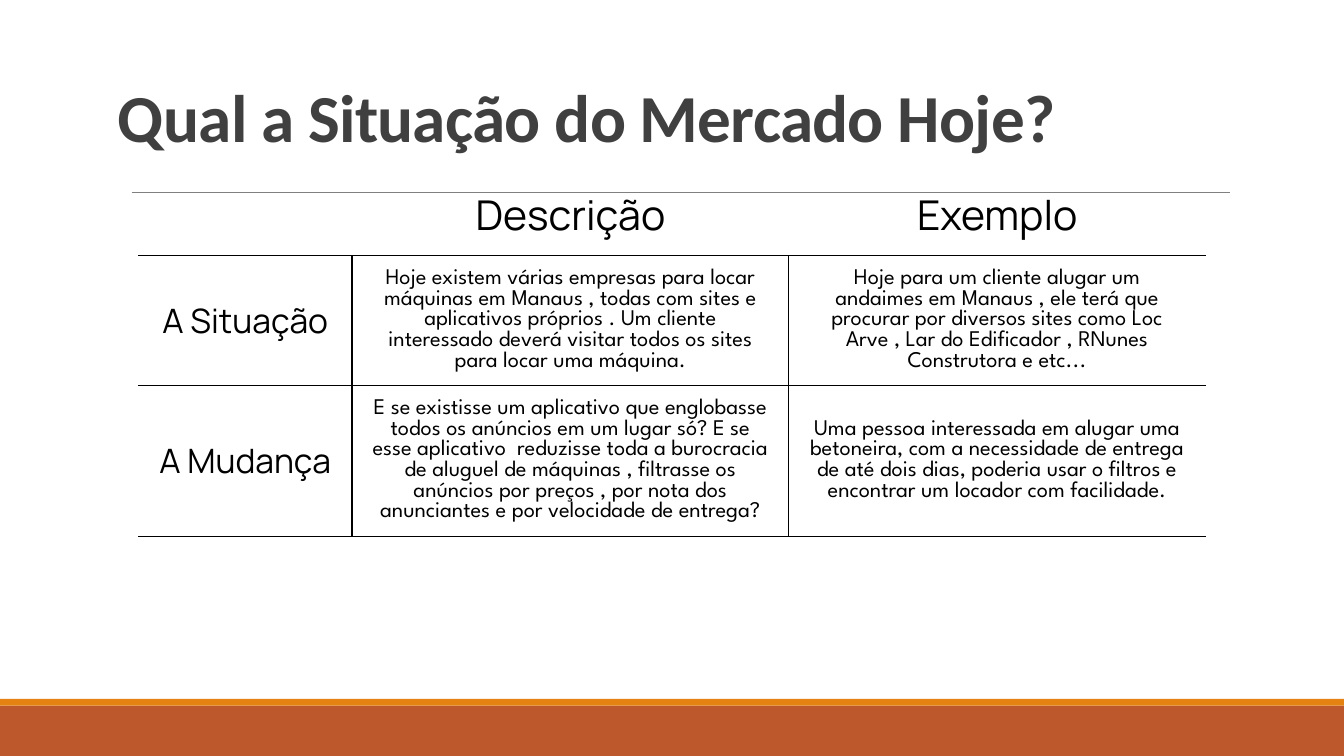
from lxml import etree
from pptx import Presentation, util as u
from pptx.dml.color import RGBColor
from pptx.enum import shapes, text
from pptx.oxml.ns import qn


def color(value):
    return RGBColor.from_string(value)


def add_border(cell, side):
    """side is L, R, T or B; call in that order, before the cell fill is set."""
    line = etree.SubElement(cell._tc.get_or_add_tcPr(), qn(f"a:ln{side}"), w=str(u.Pt(0.75)))
    fill = etree.SubElement(line, qn("a:solidFill"))
    etree.SubElement(fill, qn("a:srgbClr"), val="000000")


deck = Presentation()
deck.slide_width, deck.slide_height = u.Inches(10), u.Inches(10) * 9 // 16
page = deck.slides.add_slide(deck.slide_layouts[6])

# Footer bands
for top, height, fill in [(5.25, 0.38, "BD582C"), (5.2, 0.05, "E48312")]:
    band = page.shapes.add_shape(shapes.MSO_SHAPE.RECTANGLE, u.Inches(0), u.Inches(top),
                                 u.Inches(10), u.Inches(height))
    band.shadow.inherit = False
    band.fill.solid()
    band.fill.fore_color.rgb = color(fill)
    band.line.fill.background()

# Rule under the title
rule = page.shapes.add_connector(shapes.MSO_CONNECTOR.STRAIGHT, u.Inches(0.98), u.Inches(1.43),
                                 u.Inches(9.15), u.Inches(1.43))
rule.line.color.rgb = color("808080")
rule.line.width = u.Pt(0.5)
etree.SubElement(rule._element.spPr, qn("a:effectLst"))

# Title
box = page.shapes.add_textbox(u.Inches(0.78), u.Inches(0.46), u.Inches(8.44), u.Inches(0.63))
frame = box.text_frame
frame.word_wrap = True
frame.margin_left = frame.margin_right = u.Inches(0.1)
frame.margin_top = frame.margin_bottom = u.Inches(0.1)
frame.text = "Qual a Situação do Mercado Hoje?"
span = frame.paragraphs[0].runs[0]
span.font.name, span.font.size, span.font.bold = "Calibri", u.Pt(36), True
span.font.color.rgb = color("404040")
span._r.get_or_add_rPr().set("spc", "-40")

# Table of situation and change
rows = [
    ["", "Descrição", "Exemplo"],
    ["A Situação",
     "Hoje existem várias empresas para locar máquinas em Manaus , todas com sites e "
     "aplicativos próprios . Um cliente interessado deverá visitar todos os sites para "
     "locar uma máquina.",
     "Hoje para um cliente alugar um andaimes em Manaus , ele terá que procurar por "
     "diversos sites como Loc Arve , Lar do Edificador , RNunes Construtora e etc..."],
    ["A Mudança",
     "E se existisse um aplicativo que englobasse todos os anúncios em um lugar só? E se "
     "esse aplicativo  reduzisse toda a burocracia de aluguel de máquinas , filtrasse os "
     "anúncios por preços , por nota dos anunciantes e por velocidade de entrega?",
     "Uma pessoa interessada em alugar uma betoneira, com a necessidade de entrega de até "
     "dois dias, poderia usar o filtros e encontrar um locador com facilidade."],
]
widths = [1.59, 3.25, 3.1]
heights = [0.61, 0.97, 1.12]
table = page.shapes.add_table(3, 3, u.Inches(1.03), u.Inches(1.29),
                              u.Inches(sum(widths)), u.Inches(sum(heights))).table
table.first_row = table.horz_banding = False
# The "No Style, No Grid" table style has no borders of its own
style = table._tbl.tblPr.find(qn("a:tableStyleId"))
style.text = "{2D5ABB26-0587-4C30-8999-92F81FD0307C}"
for column, width in zip(table.columns, widths):
    column.width = u.Inches(width)

for r, (row, height) in enumerate(zip(rows, heights)):
    table.rows[r].height = u.Inches(height)
    for c, words in enumerate(row):
        cell = table.cell(r, c)
        body = r > 0 and c > 0

        # Lines run under every row and between the columns below the header
        sides = "B" if r == 0 else ["RTB", "LRTB", "LTB"][c]
        for side in sides:
            add_border(cell, side)
        cell.fill.background()

        cell.vertical_anchor = text.MSO_ANCHOR.MIDDLE
        cell.margin_top = cell.margin_bottom = u.Inches(0.1)
        cell.margin_left = cell.margin_right = u.Inches(0.14 if body else 0.1)
        cell.text_frame.text = words
        para = cell.text_frame.paragraphs[0]
        para.alignment = text.PP_ALIGN.CENTER
        if body:
            para.line_spacing = u.Pt(11.04)
        for span in para.runs:
            span.font.name = "League Spartan" if body else "Manrope"
            span.font.size = u.Pt(12 if body else 22 if r == 0 else 18)
            span.font.color.rgb = color("000000")
            for script in ("a:ea", "a:cs"):
                etree.SubElement(span._r.rPr, qn(script), typeface=span.font.name)

deck.save("out.pptx")
